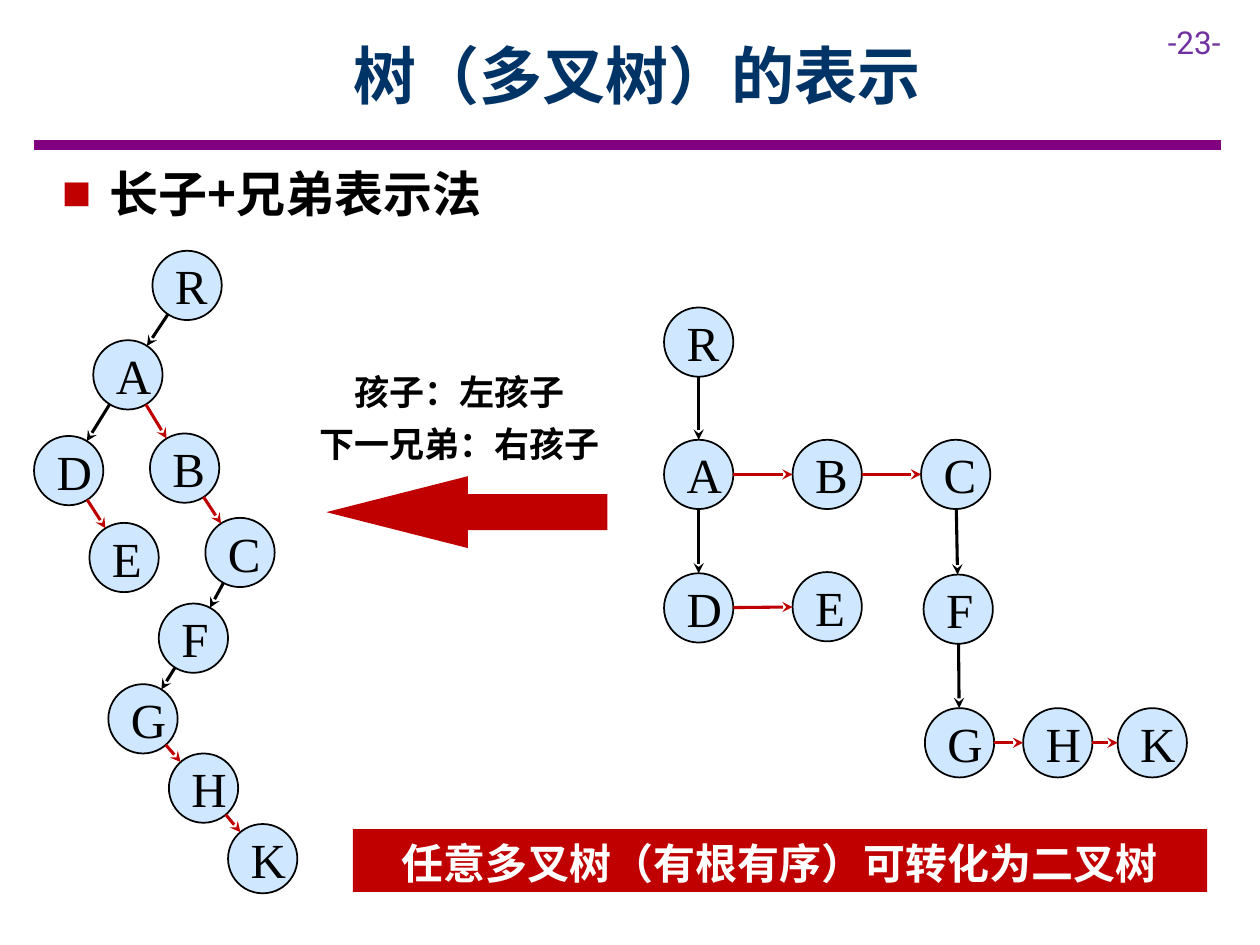
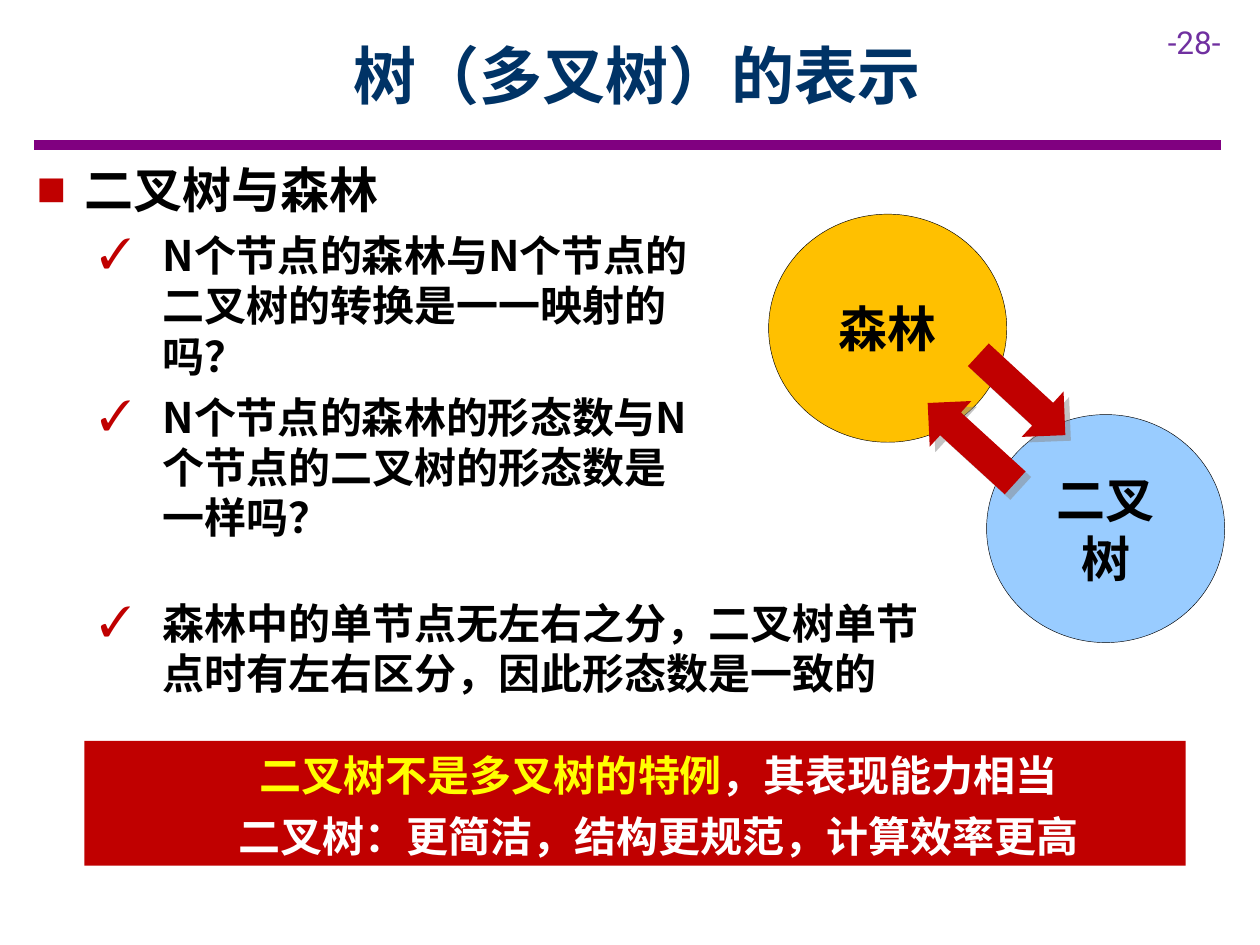
from math import hypot

from pptx import Presentation
from pptx.dml.color import RGBColor
from pptx.enum.shapes import MSO_CONNECTOR, MSO_SHAPE
from pptx.enum.text import MSO_ANCHOR, MSO_AUTO_SIZE, PP_ALIGN
from pptx.oxml import parse_xml
from pptx.oxml.ns import nsdecls, qn
from pptx.util import Pt

PX = 9144
LEFT, CENTER = PP_ALIGN.LEFT, PP_ALIGN.CENTER
TOP, MIDDLE = MSO_ANCHOR.TOP, MSO_ANCHOR.MIDDLE
RECT, OVAL = MSO_SHAPE.RECTANGLE, MSO_SHAPE.OVAL
LEFT_ARROW, RIGHT_ARROW = MSO_SHAPE.LEFT_ARROW, MSO_SHAPE.RIGHT_ARROW
STRAIGHT = MSO_CONNECTOR.STRAIGHT

COLORS = {
    "black": "000000", "white": "FFFFFF", "red": "C00000", "yellow": "FFFF00",
    "title": "003366", "rule": "800080", "number": "7030A0",
    "sky": "99CCFF", "gold": "FFC000", "shadow": "888888",
}
CJK, SERIF, SANS = "Noto Sans CJK SC", "Times New Roman", "Roboto"
TITLE = "树（多叉树）的表示"
NODE = 55
CHILD_EDGES = ["RA", "AD", "CF", "FG"]
SIBLING_EDGES = ["AB", "BC", "DE", "GH", "HK"]
BINARY_TREE = {
    "R": (94, 0), "A": (47, 71), "D": (0, 147), "B": (92, 145), "C": (136, 212),
    "E": (44, 216), "F": (99, 280), "G": (59, 344), "H": (107, 399), "K": (154, 455),
}
MULTIWAY_TREE = {
    "R": (0, 0), "A": (0, 105), "D": (0, 211), "B": (102, 105), "C": (204, 105),
    "E": (102, 210), "F": (206, 212), "G": (207, 318), "H": (285, 318), "K": (360, 318),
}


def rgb(name):
    return RGBColor.from_string(COLORS[name])


def emu(*lengths):
    return [round(n * PX) for n in lengths]


def add_xml(parent, xml):
    head, rest = xml.split(" ", 1) if " " in xml.split(">")[0] else (xml[:-2], "/>")
    parent.append(parse_xml(f"{head} {nsdecls('a')} {rest}"))


def place(sp, box):
    sp.left, sp.top, sp.width, sp.height = emu(*box)


def set_frame(tf, anchor=TOP, insets=(10, 5, 10, 5)):
    tf.word_wrap = True
    tf.auto_size = MSO_AUTO_SIZE.NONE
    tf.vertical_anchor = anchor
    (tf.margin_left, tf.margin_top,
     tf.margin_right, tf.margin_bottom) = emu(*insets)


def write(p, text, size=24, font=CJK, color="black", bold=True, align=LEFT,
          fixed=True, after=0, margin=0, hang=0, bullet=None):
    p.alignment = align
    p.space_before, p.space_after = Pt(0), Pt(after)
    p.line_spacing = Pt(round(size * 1.2, 1)) if fixed else 1.0
    pPr = p._p.get_or_add_pPr()
    pPr.set("marL", str(margin * PX))
    pPr.set("indent", str(-hang * PX))
    if bullet:
        add_xml(pPr, f'<a:buClr ><a:srgbClr val="{COLORS["red"]}"/></a:buClr>')
        add_xml(pPr, f'<a:buFont typeface="{SERIF}"/>')
        add_xml(pPr, f'<a:buChar char="{bullet}"/>')
    runs = [(text, color)] if isinstance(text, str) else text
    for words, run_color in runs:
        r = p.add_run()
        r.text = words
        r.font.size, r.font.name, r.font.bold = Pt(size), font, bold
        r.font.color.rgb = rgb(run_color)
        add_xml(r._r.get_or_add_rPr(), f'<a:ea typeface="{CJK}"/>')


def write_all(tf, texts, **fmt):
    for i, text in enumerate(texts):
        write(tf.paragraphs[0] if i == 0 else tf.add_paragraph(), text, **fmt)


def heading(p, text):
    write(p, text, size=28, after=6, margin=38, hang=38, bullet="■")


def question(p, text):
    write(p, text, after=6, margin=100, hang=50, bullet="✓")


def add_text(s, box, texts, insets=(10, 5, 10, 5), **fmt):
    sp = s.shapes.add_textbox(*emu(*box))
    set_frame(sp.text_frame, insets=insets)
    write_all(sp.text_frame, texts, **fmt)


def add_shape(s, kind, box, fill, line=None):
    sp = s.shapes.add_shape(kind, *emu(*box))
    sp.shadow.inherit = False
    sp.fill.solid()
    sp.fill.fore_color.rgb = rgb(fill)
    if line:
        sp.line.color.rgb = rgb("black")
        sp.line.width = Pt(line)
    else:
        sp.line.fill.background()
    return sp


def add_line(s, start, end, color, width, arrow=False):
    cn = s.shapes.add_connector(STRAIGHT, *emu(*start, *end))
    cn.line.color.rgb = rgb(color)
    cn.line.width = Pt(width)
    spPr = cn._element.spPr
    if arrow:
        add_xml(spPr.find(qn("a:ln")), '<a:tailEnd type="stealth"/>')
    add_xml(spPr, "<a:effectLst/>")


def add_banner(s, box, texts, **fmt):
    sp = add_shape(s, RECT, box, "red")
    set_frame(sp.text_frame, insets=(10, 7, 10, 5))
    write_all(sp.text_frame, texts, color="white", align=CENTER, **fmt)


def add_circle(s, box, text, fill, line, **fmt):
    sp = add_shape(s, OVAL, box, fill, line)
    set_frame(sp.text_frame, MIDDLE, (10, 10, 10, 10))
    write(sp.text_frame.paragraphs[0], text, size=28, align=CENTER, **fmt)
    return sp


def add_tree(s, left, top, nodes):
    centers = {}
    for name, (x, y) in nodes.items():
        sp = add_circle(s, (left + x, top + y, NODE, NODE), name, "sky", 1,
                        font=SERIF, bold=False, fixed=False)
        add_xml(sp._element.spPr.find(qn("a:solidFill"))[0], '<a:alpha val="47000"/>')
        centers[name] = left + x + NODE / 2, top + y + NODE / 2
    for edges, color in ((CHILD_EDGES, "black"), (SIBLING_EDGES, "red")):
        for a, b in edges:
            (x1, y1), (x2, y2) = centers[a], centers[b]
            k = NODE / 2 / hypot(x2 - x1, y2 - y1)
            dx, dy = k * (x2 - x1), k * (y2 - y1)
            add_line(s, (x1 + dx, y1 + dy), (x2 - dx, y2 - dy), color, 1.75, True)


def add_exchange(s, left, top):
    add_circle(s, (left + 173, top + 159, 189, 181), "二叉树", "sky", 0.25)
    add_circle(s, (left, top, 189, 181), "森林", "gold", 0.25, fixed=False)
    for x, y, angle in ((154, 119, 42.7), (114, 157, 222.4)):
        sp = add_shape(s, RIGHT_ARROW, (left + x, top + y, 94, 49), "red")
        sp.rotation = angle
        add_xml(sp._element.spPr.find(qn("a:effectLst")),
                f'<a:outerShdw dist="{Pt(4.5)}" dir="2700000" rotWithShape="0">'
                f'<a:srgbClr val="{COLORS["shadow"]}"><a:alpha val="50000"/>'
                '</a:srgbClr></a:outerShdw>')


def new_slide(prs, layout, number):
    s = prs.slides.add_slide(prs.slide_layouts.get_by_name(layout))
    add_line(s, (27, 115), (969, 115), "rule", 6)
    add_text(s, (917, 13, 83, 40), [f"-{number}-"], size=18, font=SANS,
             color="number", bold=False, fixed=False)
    place(s.shapes.title, (90, 9, 831, 100))
    tf = s.shapes.title.text_frame
    set_frame(tf, MIDDLE)
    write(tf.paragraphs[0], TITLE, size=36, color="title", align=CENTER, fixed=False)
    return s


def body(s, idx, box):
    sp = s.placeholders[idx]
    place(sp, box)
    set_frame(sp.text_frame, insets=(10, 7, 10, 5))
    return sp.text_frame


def conversion_slide(prs):
    s = new_slide(prs, "Title and Content", 23)
    heading(body(s, 1, (39, 123, 406, 57)).paragraphs[0], "长子+兄弟表示法")
    add_banner(s, (280, 658, 678, 50), ["任意多叉树（有根有序）可转化为二叉树"], font=SERIF)
    add_tree(s, 527, 244, MULTIWAY_TREE)
    arrow = add_shape(s, LEFT_ARROW, (259, 378, 223, 57), "red")
    arrow.adjustments[1] = 1.97
    add_tree(s, 27, 199, BINARY_TREE)
    add_text(s, (238, 287, 254, 86), ["孩子：左孩子", "下一兄弟：右孩子"],
             insets=(10, 7, 10, 5), size=20, align=CENTER, after=6)


def forest_slide(prs):
    s = new_slide(prs, "Two Content", 28)
    tf = body(s, 1, (19, 120, 552, 316))
    heading(tf.paragraphs[0], "二叉树与森林")
    for text in ("N个节点的森林与N个节点的二叉树的转换是一一映射的吗？",
                 "N个节点的森林的形态数与N个节点的二叉树的形态数是一样吗？"):
        question(tf.add_paragraph(), text)
    add_banner(s, (67, 588, 874, 99),
               [[("二叉树不是多叉树的特例", "yellow"), ("，其表现能力相当", "white")],
                "二叉树：更简洁，结构更规范，计算效率更高"], after=6, margin=38)
    question(body(s, 2, (19, 467, 741, 91)).paragraphs[0],
             "森林中的单节点无左右之分，二叉树单节点时有左右区分，因此形态数是一致的")
    add_exchange(s, 610, 170)


def main():
    prs = Presentation()
    prs.slide_width, prs.slide_height = emu(1000, 750)
    conversion_slide(prs)
    forest_slide(prs)
    prs.save("out.pptx")


if __name__ == "__main__":
    main()
